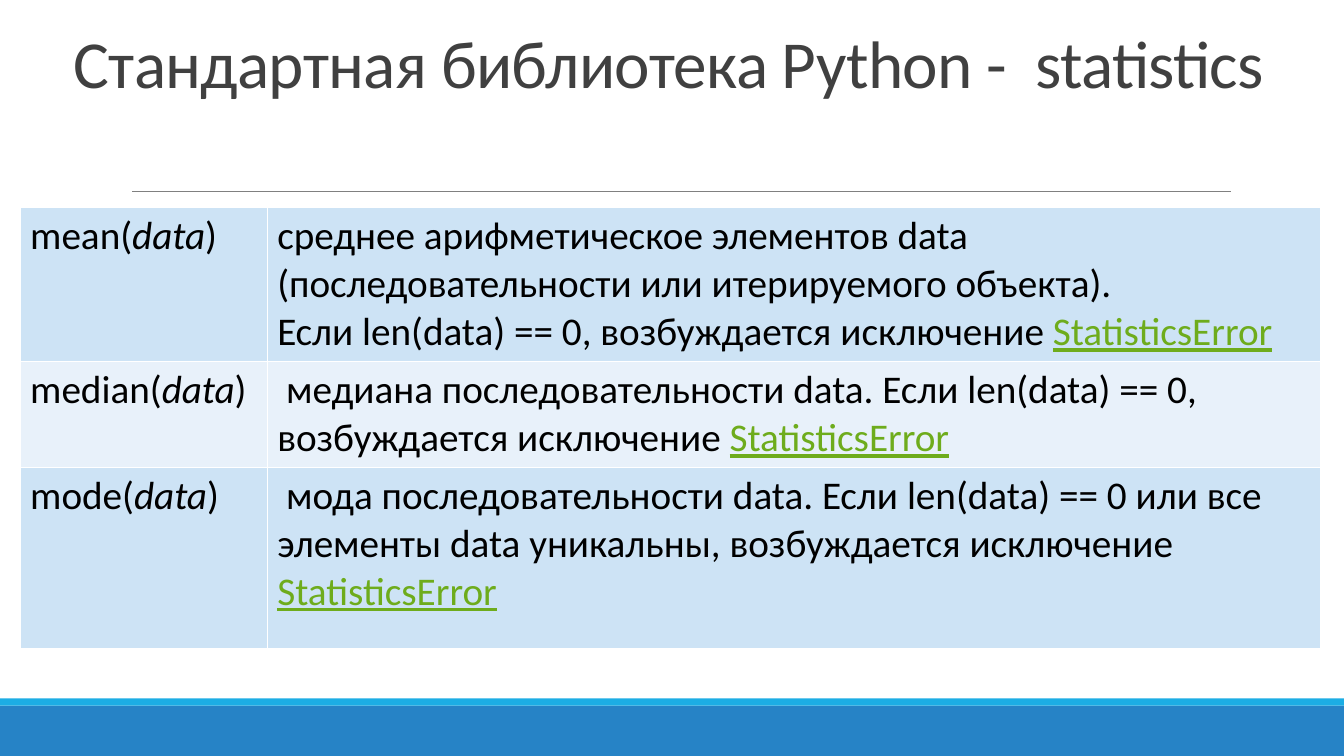
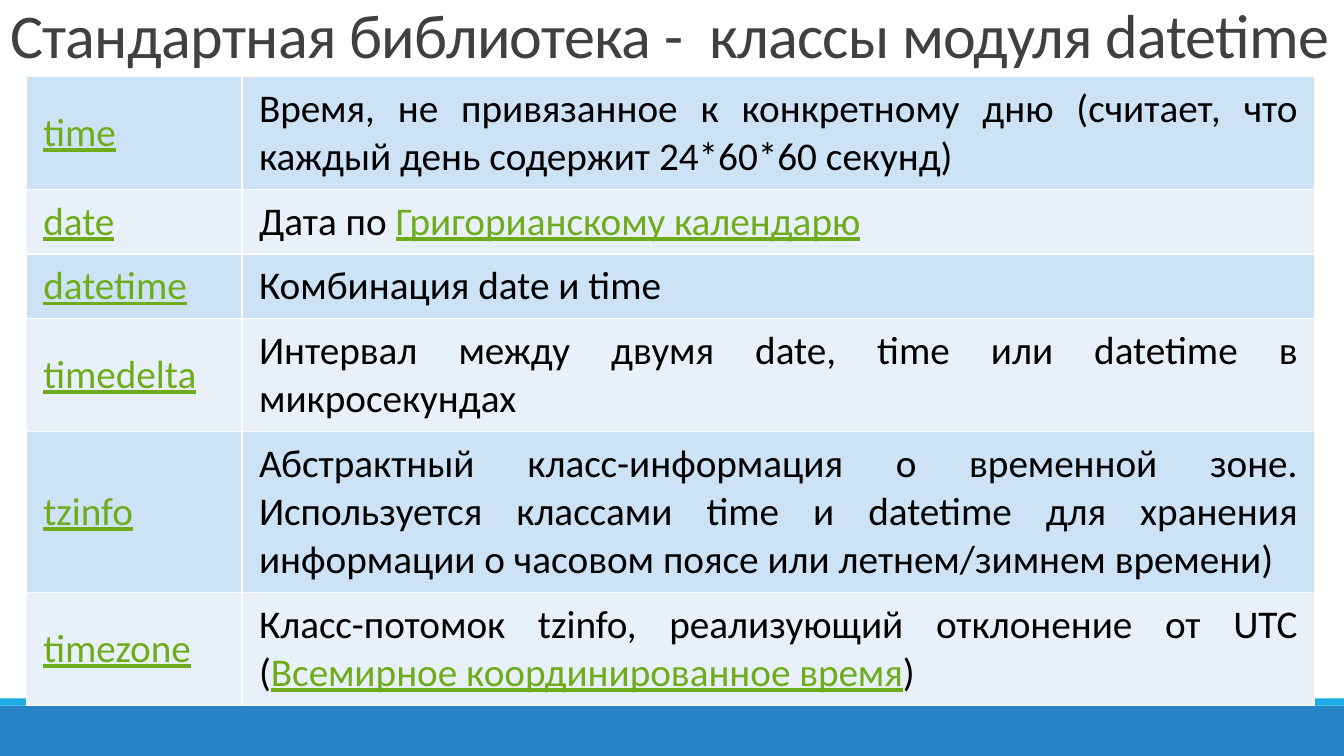
"""Build two slides on Python standard library modules."""
from dataclasses import dataclass, field

import pptx
import pptx.dml.color
import pptx.enum.shapes
import pptx.enum.text
import pptx.oxml
import pptx.oxml.ns
import pptx.util
from pptx.util import Inches

RGB = pptx.dml.color.RGBColor.from_string
ALIGN = pptx.enum.text.PP_ALIGN
ANCHOR = pptx.enum.text.MSO_ANCHOR


@dataclass(frozen=True)
class Theme:
    """Colours and type sizes of the deck."""
    font: str = "Calibri"
    title: str = "404040"
    text: str = "000000"
    link: str = "6EAC1C"
    band: str = "2683C6"
    stripe: str = "1CADE4"
    rule: str = "808080"
    border: str = "FFFFFF"
    rows: tuple = ("CDE3F5", "E8F1FA")
    body_size: float = 28
    styles: dict = field(default_factory=lambda: {
        "text": {}, "arg": {"italic": True}, "link": {"underline": True}})


THEME = Theme()


def text(value):
    """Return a plain run."""
    return value, "text"


def link(value):
    """Return a run styled as a link."""
    return value, "link"


def call(name):
    """Return the runs of a function signature."""
    return [[text(name + "("), ("data", "arg"), text(")")]]


STATISTICS = [
    (call("mean"), [
        [text("среднее арифметическое элементов data (последовательности или итерируемого объекта).")],
        [text("Если len(data) == 0, возбуждается исключение "), link("StatisticsError")]]),
    (call("median"), [
        [text(" медиана последовательности data. Если len(data) == 0, возбуждается исключение "),
         link("StatisticsError")]]),
    (call("mode"), [
        [text(" мода последовательности data. Если len(data) == 0 или все элементы data уникальны, "
              "возбуждается исключение "), link("StatisticsError")]]),
]

DATETIME = [
    ([[link("time")]], [[text("Время, не привязанное к конкретному дню (считает, что каждый день "
                              "содержит 24*60*60 секунд)")]]),
    ([[link("date")]], [[text("Дата по "), link("Григорианскому календарю")]]),
    ([[link("datetime")]], [[text("Комбинация date и time")]]),
    ([[link("timedelta")]], [[text("Интервал между двумя date, time или datetime в микросекундах")]]),
    ([[link("tzinfo")]], [[text("Абстрактный класс-информация о временной зоне. Используется "
                                "классами time и datetime для хранения информации о часовом поясе "
                                "или летнем/зимнем времени)")]]),
    ([[link("timezone")]], [[text("Класс-потомок tzinfo, реализующий отклонение от UTC ("),
                             link("Всемирное координированное время"), text(")")]]),
]


def set_all(target, values):
    """Set attributes of target from a dict."""
    for name, value in values.items():
        setattr(target, name, value)


def add_band(s, box, color):
    """Draw a plain filled band."""
    band = s.shapes.add_shape(pptx.enum.shapes.MSO_SHAPE.RECTANGLE, *map(Inches, box))
    band.shadow.inherit = False
    band.fill.solid()
    band.fill.fore_color.rgb = RGB(color)
    band.line.fill.background()
    return band


def add_rule(s, x1, x2, y):
    """Draw the thin rule under the title area."""
    rule = s.shapes.add_connector(pptx.enum.shapes.MSO_CONNECTOR.STRAIGHT,
                                  *map(Inches, (x1, y, x2, y)))
    rule.line.color.rgb = RGB(THEME.rule)
    rule.line.width = pptx.util.Pt(0.5)
    pptx.oxml.ns.qn("a:effectLst")
    rule.element.spPr.append(pptx.oxml.parse_xml(
        f'<a:effectLst {pptx.oxml.ns.nsdecls("a")}/>'))
    return rule


def decorate_layout(layout, s):
    """Draw the bands and the rule on s and move them to its layout."""
    parts = (add_band(s, (0, 7, 13.33, 0.5), THEME.band),
             add_band(s, (0, 6.93, 13.33, 0.07), THEME.stripe),
             add_rule(s, 1.31, 12.21, 1.9))
    for i, part in enumerate(parts):
        part.element.xpath(".//p:cNvPr")[0].set("id", str(20 + i))
        layout.shapes.element.insert(2 + i, part.element)


def add_title(s, box, value, size):
    """Place and format the title placeholder."""
    title = s.shapes.title
    set_all(title, dict(zip(("left", "top", "width", "height"), map(Inches, box))))
    tf = title.text_frame
    set_all(tf, {"word_wrap": True, "vertical_anchor": ANCHOR.BOTTOM,
                 "auto_size": pptx.enum.text.MSO_AUTO_SIZE.NONE})
    p = tf.paragraphs[0]
    set_all(p, {"alignment": ALIGN.LEFT, "line_spacing": 0.85})
    r = p.add_run()
    r.text = value
    set_all(r.font, {"name": THEME.font, "size": pptx.util.Pt(size)})
    r.font.color.rgb = RGB(THEME.title)
    r.font._element.set("spc", "-50")


def add_borders(cell):
    """Give a cell white borders on all sides."""
    tc_pr = cell._tc.get_or_add_tcPr()
    for i, side in enumerate(("lnL", "lnR", "lnT", "lnB")):
        tc_pr.insert(i, pptx.oxml.parse_xml(
            f'<a:{side} {pptx.oxml.ns.nsdecls("a")} w="12700"><a:solidFill>'
            f'<a:srgbClr val="{THEME.border}"/></a:solidFill></a:{side}>'))


def fill_cell(cell, paragraphs, color, cell_format, align):
    """Write the styled paragraphs of one cell."""
    set_all(cell, cell_format)
    cell.fill.solid()
    cell.fill.fore_color.rgb = RGB(color)
    add_borders(cell)
    tf = cell.text_frame
    for i, runs in enumerate(paragraphs):
        p = tf.add_paragraph() if i else tf.paragraphs[0]
        p.alignment = align
        for value, style in runs:
            r = p.add_run()
            r.text = value
            set_all(r.font, {"name": THEME.font, "size": pptx.util.Pt(THEME.body_size),
                             **THEME.styles[style]})
            r.font.color.rgb = RGB(THEME.link if style == "link" else THEME.text)


def add_table(s, left, top, widths, heights, rows, cell_format, align):
    """Place a two-column table with alternating row fills."""
    table = s.shapes.add_table(len(rows), len(widths), *map(
        Inches, (left, top, sum(widths), sum(heights)))).table
    set_all(table, {"first_row": False, "horz_banding": False})
    for column, width in zip(table.columns, widths):
        column.width = Inches(width)
    for i, (row, height) in enumerate(zip(rows, heights)):
        table.rows[i].height = Inches(height)
        for j, paragraphs in enumerate(row):
            fill_cell(table.cell(i, j), paragraphs, THEME.rows[i % 2], cell_format, align)


def statistics_slide(s):
    """Fill the slide on the statistics module."""
    add_title(s, (0.63, 0.2, 12.04, 0.86), "Стандартная библиотека Python -  statistics", 48)
    add_table(s, 0.2, 2.06, (2.45, 10.45), (1.52, 1.05, 1.8), STATISTICS,
              {"vertical_anchor": ANCHOR.TOP}, ALIGN.LEFT)


def datetime_slide(s):
    """Fill the slide on the classes of datetime."""
    add_title(s, (0, 0, 13.33, 0.76), "Стандартная библиотека -  классы модуля datetime", 44.4)
    heights = [round(0.16 + 0.48 * lines, 2) for lines in (2, 1, 1, 2, 3, 2)]
    pad_x, pad_y = Inches(0.17), Inches(0.08)
    add_table(s, 0.26, 0.76, (2.14, 10.64), heights, DATETIME,
              {"vertical_anchor": ANCHOR.MIDDLE, "margin_left": pad_x, "margin_right": pad_x,
               "margin_top": pad_y, "margin_bottom": pad_y}, ALIGN.JUSTIFY)


def main():
    """Build and save the deck."""
    prs = pptx.Presentation()
    set_all(prs, {"slide_width": Inches(13.33), "slide_height": Inches(7.5)})
    layout = prs.slide_layouts[5]
    for i, build in enumerate((statistics_slide, datetime_slide)):
        s = prs.slides.add_slide(layout)
        if i == 0:
            decorate_layout(layout, s)
        build(s)
    prs.save("out.pptx")


if __name__ == "__main__":
    main()
